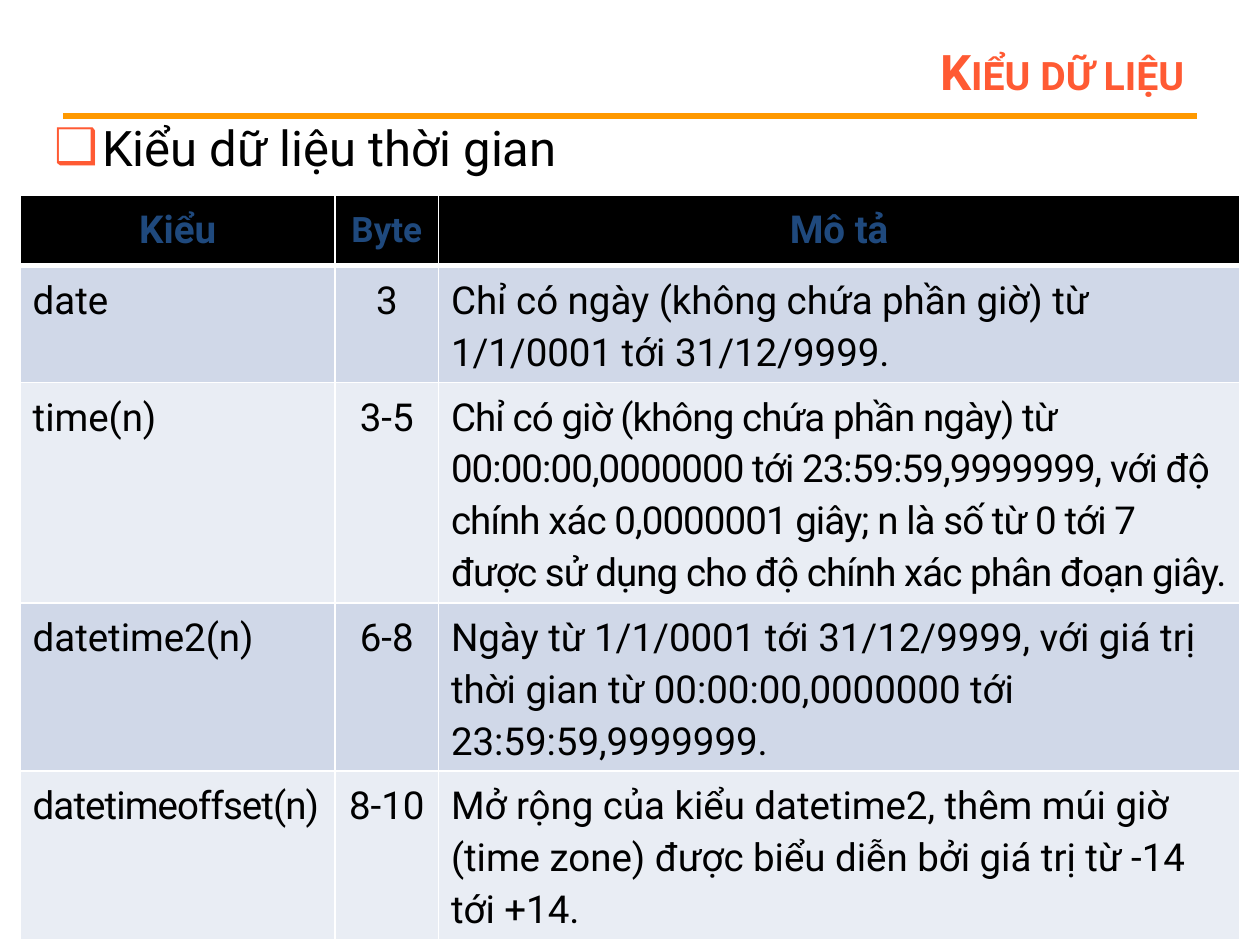
from dataclasses import dataclass

from lxml import etree
from pptx import Presentation
from pptx.dml.color import RGBColor
from pptx.enum.shapes import MSO_CONNECTOR
from pptx.enum.text import MSO_ANCHOR, MSO_AUTO_SIZE, PP_ALIGN
from pptx.oxml.ns import qn
from pptx.util import Inches, Pt

LEFT, CENTER, RIGHT = PP_ALIGN.LEFT, PP_ALIGN.CENTER, PP_ALIGN.RIGHT
TOP, MIDDLE = MSO_ANCHOR.TOP, MSO_ANCHOR.MIDDLE


@dataclass(frozen=True)
class Theme:
    font: str = "Roboto"
    accent: str = "FF5A33"
    rule: str = "FF9900"
    text: str = "000000"
    header_text: str = "1F497D"
    header_fill: str = "000000"
    bands: tuple = ("D0D8E8", "E9EDF4")
    border: str = "FFFFFF"
    heading_size: int = 28
    table_size: int = 22
    narrow_header_size: int = 20


@dataclass(frozen=True)
class DataType:
    name: str
    size: str
    description: str
    height: float
    tight_name: bool = False
    tight_description: bool = False


THEME = Theme()
HEADERS = ("Kiểu", "Byte", "Mô tả")
HEADER_SIZES = (THEME.table_size, THEME.narrow_header_size, THEME.table_size)
HEADER_HEIGHT = 0.54
COLUMN_WIDTHS = (2.5, 0.82, 6.36)
COLUMN_ALIGNMENTS = (LEFT, CENTER, LEFT)
DATA_TYPES = (
    DataType("date", "3",
             "Chỉ có ngày (không chứa phần giờ) từ 1/1/0001 tới 31/12/9999.", 0.92),
    DataType("time(n)", "3-5",
             "Chỉ có giờ (không chứa phần ngày) từ 00:00:00,0000000 tới "
             "23:59:59,9999999, với độ chính xác 0,0000001 giây; n là số từ 0 tới 7 "
             "được sử dụng cho độ chính xác phân đoạn giây.", 1.75,
             tight_description=True),
    DataType("datetime2(n)", "6-8",
             "Ngày từ 1/1/0001 tới 31/12/9999, với giá trị thời gian từ "
             "00:00:00,0000000 tới 23:59:59,9999999.", 1.33),
    DataType("datetimeoffset(n)", "8-10",
             "Mở rộng của kiểu datetime2, thêm múi giờ (time zone) được biểu diễn "
             "bởi giá trị từ -14 tới +14.", 1.33, tight_name=True),
)


def format_run(run, size: int, color: str, bold: bool = False) -> None:
    run.font.name = THEME.font
    run.font.size = Pt(size)
    run.font.bold = bold
    run.font.color.rgb = RGBColor.from_string(color)


def fill_placeholder(shape, text: str, box: tuple, anchor, color: str,
                     bold: bool = False):
    """Place the placeholder, set its text and return its only paragraph."""
    shape.left, shape.top, shape.width, shape.height = map(Inches, box)
    frame = shape.text_frame
    frame.text = text
    frame.word_wrap = True
    frame.auto_size = MSO_AUTO_SIZE.NONE
    frame.vertical_anchor = anchor
    paragraph = frame.paragraphs[0]
    format_run(paragraph.runs[0], THEME.heading_size, color, bold)
    return paragraph


def add_title(slide) -> None:
    paragraph = fill_placeholder(slide.shapes.title, "Kiểu dữ liệu",
                                 (2.25, 0.3, 7.25, 0.53), MIDDLE, THEME.accent, True)
    paragraph.alignment = RIGHT
    paragraph.runs[0].font._element.set("cap", "small")


def add_bullet(slide) -> None:
    paragraph = fill_placeholder(slide.placeholders[1], "Kiểu dữ liệu thời gian",
                                 (0.33, 0.88, 9, 5.75), TOP, THEME.text)
    properties = paragraph._p.get_or_add_pPr()
    properties.set("marL", str(Inches(0.38)))
    properties.set("indent", str(-Inches(0.38)))
    bullet_color = etree.SubElement(properties, qn("a:buClr"))
    etree.SubElement(bullet_color, qn("a:srgbClr"), val=THEME.accent)
    etree.SubElement(properties, qn("a:buChar"), char="❑")


def add_rule(slide) -> None:
    rule = slide.shapes.add_connector(MSO_CONNECTOR.STRAIGHT, Inches(0.5),
                                      Inches(0.92), Inches(9.5), Inches(0.92))
    rule.line.color.rgb = RGBColor.from_string(THEME.rule)
    rule.line.width = Pt(3)
    etree.SubElement(rule._element.spPr, qn("a:effectLst"))


def set_borders(cell, top: int, bottom: int) -> None:
    """Draw the four cell borders; widths are in points, the sides are 1 point."""
    properties = cell._tc.get_or_add_tcPr()
    widths = {"a:lnL": 1, "a:lnR": 1, "a:lnT": top, "a:lnB": bottom}
    for position, (tag, width) in enumerate(widths.items()):
        line = etree.Element(qn(tag), w=str(Pt(width)))
        fill = etree.SubElement(line, qn("a:solidFill"))
        etree.SubElement(fill, qn("a:srgbClr"), val=THEME.border)
        properties.insert(position, line)


def fill_cell(cell, text: str, fill: str, alignment):
    cell.text_frame.text = text
    cell.fill.solid()
    cell.fill.fore_color.rgb = RGBColor.from_string(fill)
    paragraph = cell.text_frame.paragraphs[0]
    paragraph.alignment = alignment
    return paragraph


def fill_header(cell, text: str, size: int) -> None:
    paragraph = fill_cell(cell, text, THEME.header_fill, CENTER)
    format_run(paragraph.runs[0], size, THEME.header_text, True)
    cell.vertical_anchor = MIDDLE
    cell.margin_left = cell.margin_right = Inches(0.1)
    cell.margin_top = cell.margin_bottom = Inches(0.1)
    set_borders(cell, top=1, bottom=3)


def fill_body(cell, text: str, fill: str, alignment, tight: bool,
              top_border: int) -> None:
    paragraph = fill_cell(cell, text, fill, alignment)
    paragraph.line_spacing = 1.15
    paragraph.space_before = paragraph.space_after = Pt(3)
    run = paragraph.runs[0]
    format_run(run, THEME.table_size, THEME.text)
    if tight:
        run.font._element.set("spc", "-50")
    set_borders(cell, top=top_border, bottom=1)


def add_type_table(slide) -> None:
    heights = (HEADER_HEIGHT, *(data_type.height for data_type in DATA_TYPES))
    table = slide.shapes.add_table(
        len(heights), len(HEADERS), Inches(0.16), Inches(1.55),
        Inches(sum(COLUMN_WIDTHS)), Inches(sum(heights))).table
    for column, width in zip(table.columns, COLUMN_WIDTHS):
        column.width = Inches(width)
    for row, height in zip(table.rows, heights):
        row.height = Inches(height)
    for index, (header, size) in enumerate(zip(HEADERS, HEADER_SIZES)):
        fill_header(table.cell(0, index), header, size)
    for row, data_type in enumerate(DATA_TYPES, start=1):
        texts = (data_type.name, data_type.size, data_type.description)
        tight = (data_type.tight_name, False, data_type.tight_description)
        band = THEME.bands[(row - 1) % len(THEME.bands)]
        for column, text in enumerate(texts):
            fill_body(table.cell(row, column), text, band,
                      COLUMN_ALIGNMENTS[column], tight[column],
                      top_border=3 if row == 1 else 1)


def main() -> None:
    presentation = Presentation()
    presentation.slide_width, presentation.slide_height = Inches(10), Inches(7.5)
    slide = presentation.slides.add_slide(presentation.slide_layouts[1])
    add_rule(slide)
    add_title(slide)
    add_bullet(slide)
    add_type_table(slide)
    presentation.save("out.pptx")


if __name__ == "__main__":
    main()
